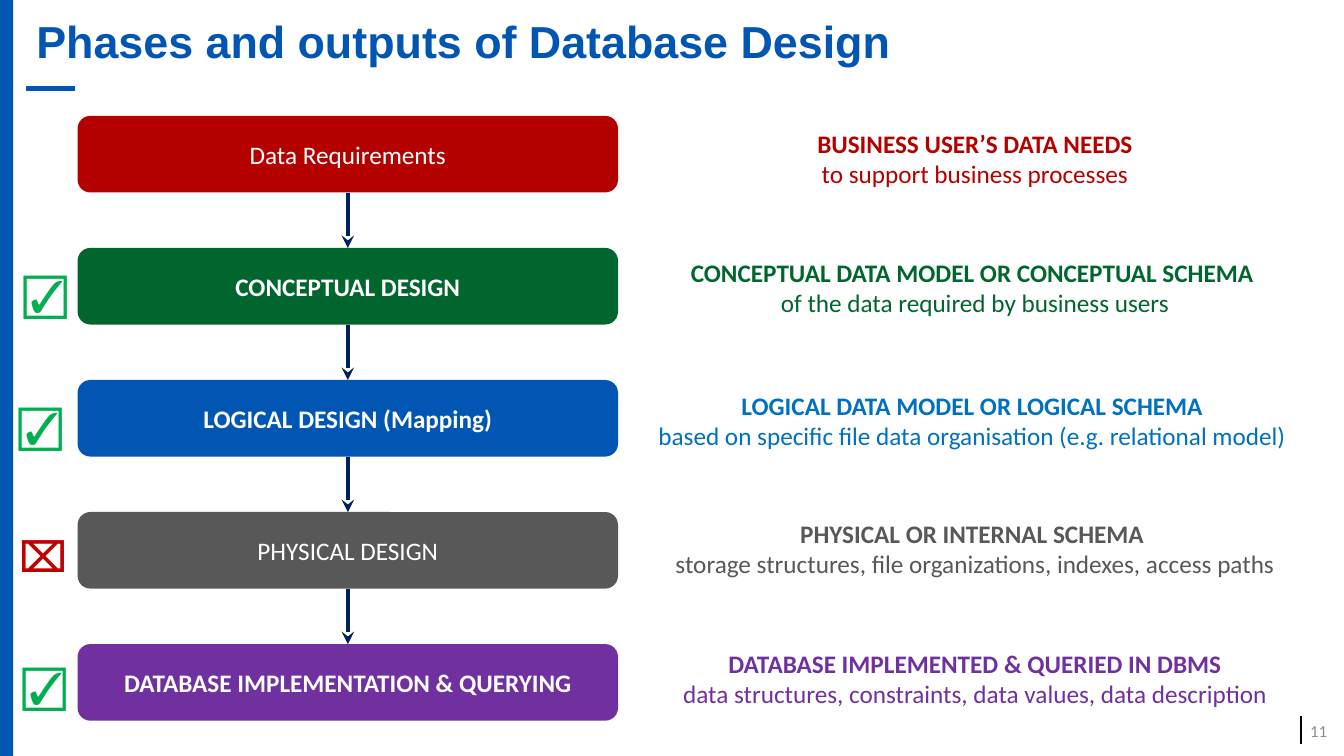
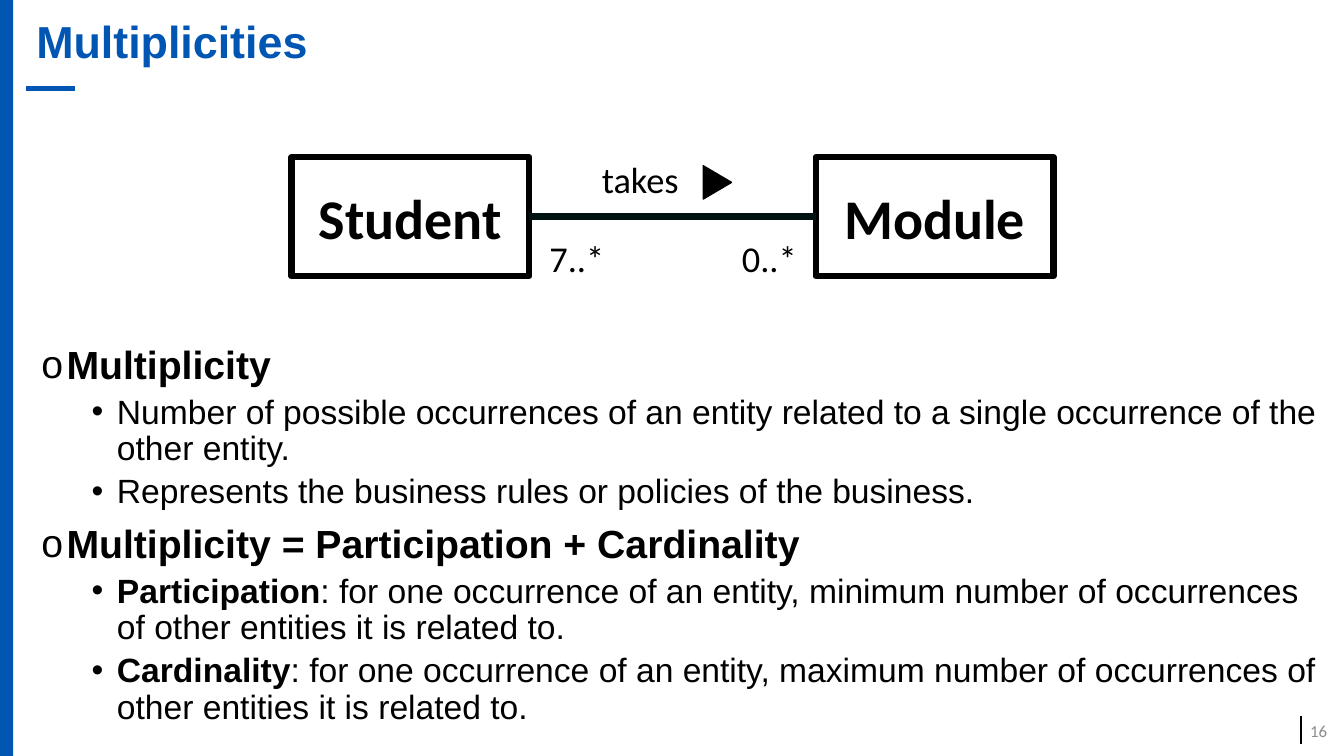
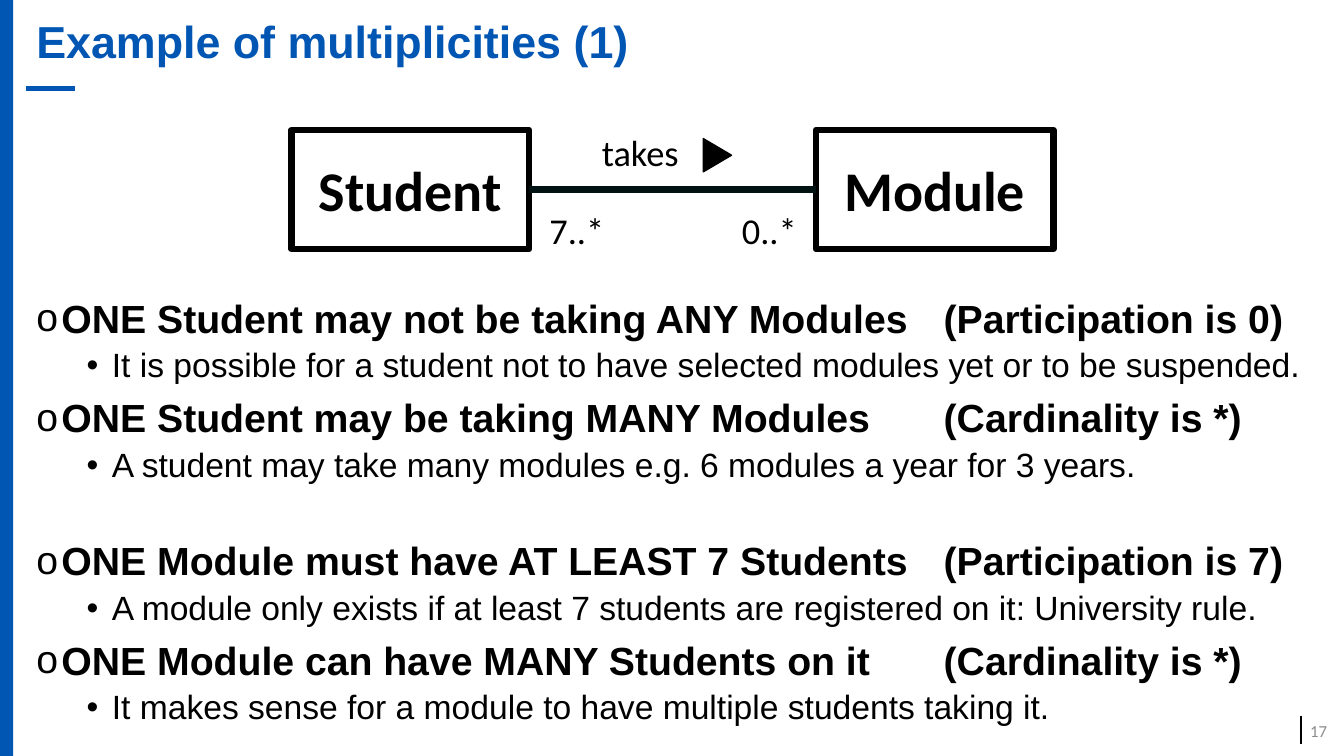
import pptx
import pptx.util
import pptx.dml.color
import pptx.enum.shapes
import pptx.enum.text
import pptx.oxml
import pptx.oxml.ns
from lxml import etree

Inches = pptx.util.Inches
Pt = pptx.util.Pt
Shape = pptx.enum.shapes.MSO_SHAPE
Align = pptx.enum.text.PP_ALIGN
Anchor = pptx.enum.text.MSO_ANCHOR
BLUE, BLACK, WHITE = "0056B2", "000000", "FFFFFF"
RED, GREEN, GREY, PURPLE = "B50000", "00662E", "585858", "7030A0"

PHASES = [
    ("Data Requirements", False, RED, RED,
     "BUSINESS USER’S DATA NEEDS", "to support business processes", 1.22),
    ("CONCEPTUAL DESIGN", True, GREEN, GREEN,
     "CONCEPTUAL DATA MODEL OR CONCEPTUAL SCHEMA ",
     "of the data required by business users", 2.5),
    ("LOGICAL DESIGN (Mapping)", True, BLUE, "0070C0",
     "LOGICAL DATA MODEL OR LOGICAL SCHEMA ",
     "based on specific file data organisation (e.g. relational model) ", 3.82),
    ("PHYSICAL DESIGN", False, GREY, GREY,
     "PHYSICAL OR INTERNAL SCHEMA ",
     "storage structures, file organizations, indexes, access paths", 5.09),
    ("DATABASE IMPLEMENTATION & QUERYING", True, PURPLE, PURPLE,
     "DATABASE IMPLEMENTED & QUERIED IN DBMS",
     "data structures, constraints, data values, data description", 6.38),
]

MARKS = [
    ("☑", 0.13, 2.59, 32, "00B050"),
    ("☑", 0.08, 3.9, 32, "00B050"),
    ("⌧", 0.09, 5.21, 30, "C00000"),
    ("☑", 0.12, 6.48, 32, "00B050"),
]

RULES = [
    (0, "Multiplicity", 10),
    (1, "Number of possible occurrences of an entity related to a single "
        "occurrence of the other entity.", 5),
    (1, "Represents the business rules or policies of the business.", 5),
    (0, "Multiplicity = Participation + Cardinality", 10),
    (1, "|Participation|: for one occurrence of an entity, minimum number of "
        "occurrences of other entities it is related to.", 5),
    (1, "|Cardinality|: for one occurrence of an entity, maximum number of "
        "occurrences of other entities it is related to.", 5),
]

CASES = [
    (0, "ONE Student may not be taking ANY Modules\t(Participation is 0)", 10),
    (1, "It is possible for a student not to have selected modules yet or to "
        "be suspended.", 5),
    (0, "ONE Student may be taking MANY Modules\t(Cardinality is *)", 10),
    (1, "A student may take many modules e.g. 6 modules a year for 3 years.", 5),
    (0, "ONE Module must have AT LEAST 7 Students\t(Participation is 7)", 41),
    (1, "A module only exists if at least 7 students are registered on it: "
        "University rule.", 5),
    (0, "ONE Module can have MANY Students on it\t(Cardinality is *)", 10),
    (1, "It makes sense for a module to have multiple students taking it.", 5),
]


def paint(target, code):
    if hasattr(target, "solid"):
        target.solid()
        target = target.fore_color
    else:
        target = target.color
    target.rgb = pptx.dml.color.RGBColor.from_string(code)


def write(frame, text, size=18, color=BLACK, bold=False, font="Calibri",
          align=Align.LEFT, level=0, lines=None, before=None):
    para = frame.add_paragraph() if frame.text else frame.paragraphs[0]
    para.alignment = align
    para.level = level
    if lines:
        para.line_spacing = lines
    if before is not None:
        para.space_before = Pt(before)
    for count, part in enumerate(text.split("|")):
        if part:
            run = para.add_run()
            run.text = part
            run.font.name = font
            run.font.size = Pt(size)
            run.font.bold = bold or count % 2 == 1
            paint(run.font, color)
    return para


def place(item, left, top, width, height):
    item.left, item.top = Inches(left), Inches(top)
    item.width, item.height = Inches(width), Inches(height)


def setup(frame, anchor):
    frame.word_wrap = True
    frame.auto_size = pptx.enum.text.MSO_AUTO_SIZE.NONE
    frame.vertical_anchor = anchor
    return frame


def label(slide, left, top, width, height, anchor=Anchor.TOP):
    box = slide.shapes.add_textbox(
        Inches(left), Inches(top), Inches(width), Inches(height))
    return setup(box.text_frame, anchor)


def block(slide, kind, left, top, width, height, fill=None, edge=None, weight=1):
    item = slide.shapes.add_shape(
        kind, Inches(left), Inches(top), Inches(width), Inches(height))
    item.shadow.inherit = False
    if fill:
        paint(item.fill, fill)
    else:
        item.fill.background()
    if edge:
        paint(item.line, edge)
        item.line.width = Pt(weight)
    else:
        item.line.fill.background()
    setup(item.text_frame, Anchor.MIDDLE)
    return item


def link(slide, x1, y1, x2, y2, color, weight, arrow=False):
    line = slide.shapes.add_connector(
        pptx.enum.shapes.MSO_CONNECTOR.STRAIGHT,
        Inches(x1), Inches(y1), Inches(x2), Inches(y2))
    paint(line.line, color)
    line.line.width = Pt(weight)
    props = line._element.spPr
    if arrow:
        etree.SubElement(props.find(pptx.oxml.ns.qn("a:ln")),
                         pptx.oxml.ns.qn("a:tailEnd"), type="stealth")
    etree.SubElement(props, pptx.oxml.ns.qn("a:effectLst"))
    return line


def join(line, start, end, out, into):
    line.begin_connect(start, out)
    line.end_connect(end, into)


def base(deck, layout, title, number):
    slide = deck.slides.add_slide(deck.slide_layouts[layout])
    block(slide, Shape.RECTANGLE, 0, 0, 0.13, 7.5, fill=BLUE)
    link(slide, 12.9, 7.1, 12.9, 7.38, BLACK, 1.5)
    link(slide, 0.74, 0.88, 0.26, 0.88, BLUE, 4)
    head = slide.shapes.title
    place(head, 0.26, 0, 12.94, 0.88)
    write(setup(head.text_frame, Anchor.MIDDLE), title, size=32, color=BLUE,
          bold=True, font="Arial", lines=0.9)
    write(label(slide, 12.84, 7.05, 0.42, 0.4, Anchor.MIDDLE), str(number),
          size=12, color="8C8C8C", align=Align.RIGHT)
    return slide


def flow(slide, left, top, width, step):
    last = None
    for row, (name, bold, fill, ink, lead, note, high) in enumerate(PHASES):
        y = top + row * step
        box = block(slide, Shape.ROUNDED_RECTANGLE, left, y, width, 0.76, fill=fill)
        write(box.text_frame, name, color=WHITE, bold=bold, align=Align.CENTER)
        if last:
            mid = left + width / 2
            line = link(slide, mid, y - step + 0.76, mid, y, "002060", 3, arrow=True)
            join(line, last, box, 2, 0)
        last = box
        frame = label(slide, left + width, high, 7.08, 0.71)
        write(frame, lead, color=ink, bold=True, align=Align.CENTER)
        write(frame, note, color=ink, align=Align.CENTER)


def ticks(slide):
    for sign, left, top, size, color in MARKS:
        write(label(slide, left, top, 0.57, 0.64), sign, size=size, color=color,
              bold=True, font="Arial")


def model(slide, left, top):
    ends = []
    for name, x in (("Student", left), ("Module", left + 5.2)):
        box = block(slide, Shape.RECTANGLE, x, top, 2.36, 1.18,
                    edge=BLACK, weight=4.5)
        write(box.text_frame, name, size=40, bold=True, align=Align.CENTER)
        ends.append(box)
    mid = top + 0.59
    line = link(slide, left + 2.36, mid, left + 5.2, mid, "001211", 5)
    join(line, *ends, 3, 1)
    mark = block(slide, Shape.ISOSCELES_TRIANGLE, left + 4.06, top + 0.11,
                 0.33, 0.28, fill=BLACK, edge=BLACK)
    mark.rotation = 90
    for text, x, y, width in (("takes", 2.98, -0.05, 1.21),
                              ("0..*", 4.37, 0.73, 0.98),
                              ("7..*", 2.46, 0.73, 0.98)):
        write(label(slide, left + x, top + y, width, 0.54), text, size=26)


def points(slide, items, left, top, width, height):
    body = slide.placeholders[1]
    place(body, left, top, width, height)
    frame = setup(body.text_frame, Anchor.TOP)
    for level, text, before in items:
        para = write(frame, text, size=24 if level else 28, bold=not level,
                     font="Arial", level=level, lines=0.9, before=before)
        props = para._p.get_or_add_pPr()
        props.set("marL", str(Inches(0.75 if level else 0.25)))
        props.set("indent", str(Inches(-0.25)))
        tag = pptx.oxml.ns.qn
        etree.SubElement(props, tag("a:buFont"), typeface="Arial")
        etree.SubElement(props, tag("a:buChar"), char="•" if level else "o")
        if "\t" in text:
            tabs = etree.SubElement(props, tag("a:tabLst"))
            etree.SubElement(tabs, tag("a:tab"), pos=str(Inches(9)), algn="l")


def main():
    deck = pptx.Presentation()
    deck.slide_width, deck.slide_height = Inches(13.33), Inches(7.5)
    slide = base(deck, 5, "Phases and outputs of Database Design", 11)
    flow(slide, 0.77, 1.15, 5.36, 1.31)
    ticks(slide)
    slide = base(deck, 1, "Multiplicities", 16)
    model(slide, 2.89, 1.56)
    points(slide, RULES, 0.31, 3.38, 12.94, 3.95)
    slide = base(deck, 1, "Example of multiplicities (1)", 17)
    model(slide, 2.89, 1.29)
    points(slide, CASES, 0.26, 2.92, 12.94, 4.49)
    deck.save("out.pptx")


if __name__ == "__main__":
    main()
